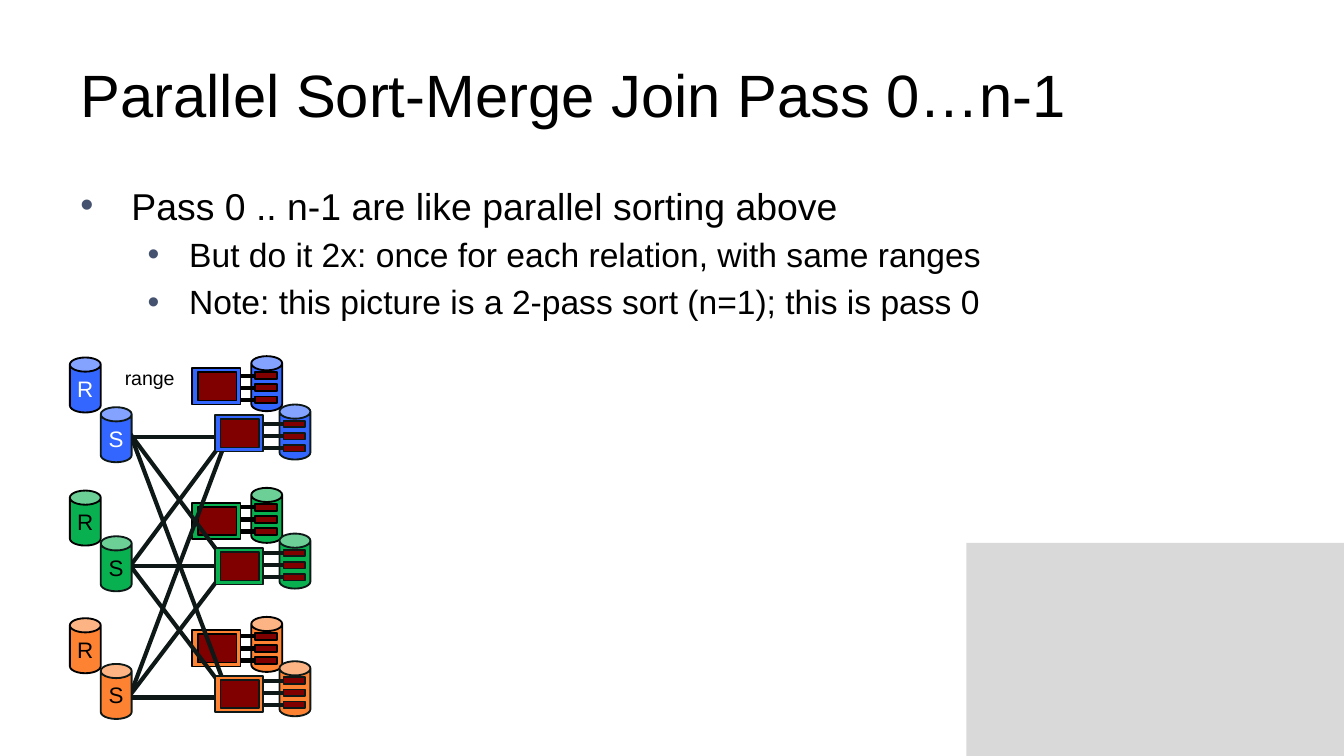
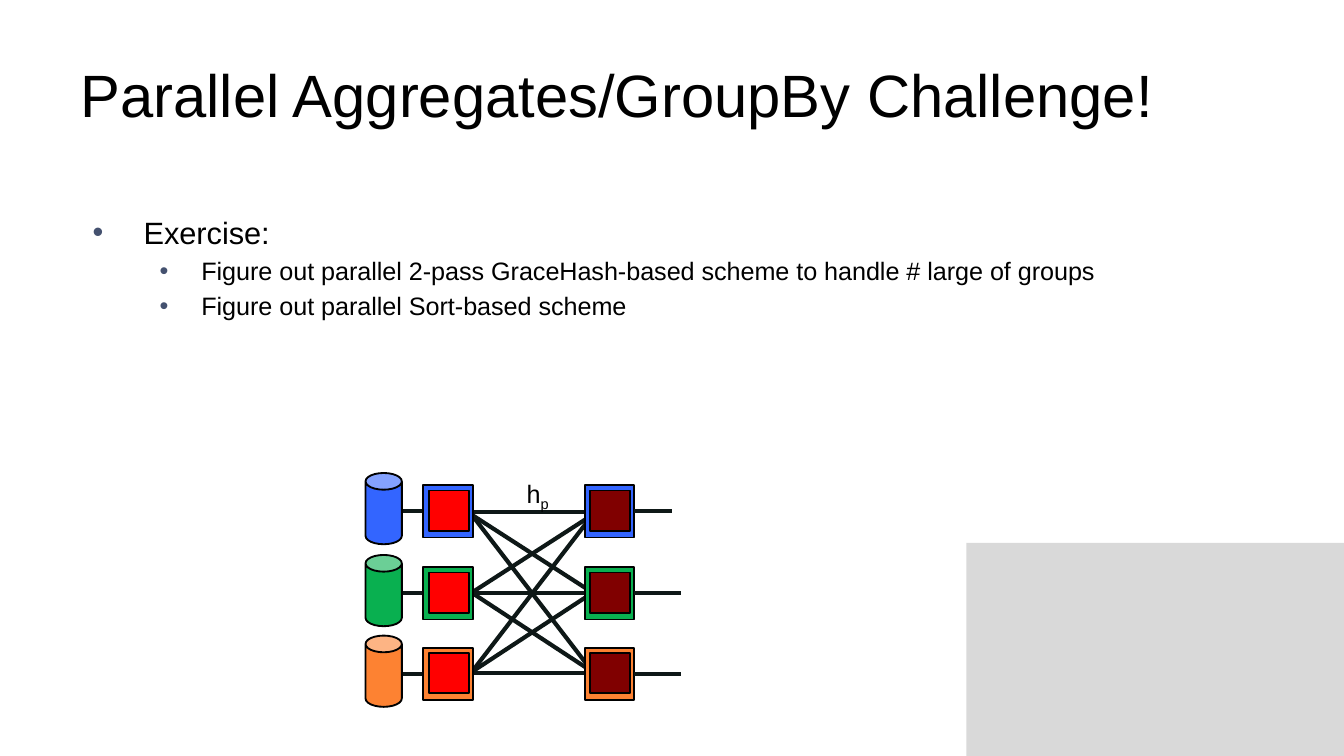
"""Build two slides on parallel sort-merge join and parallel aggregation."""
import itertools

import lxml.etree
import pptx
import pptx.dml.color
import pptx.enum.shapes
import pptx.enum.text
import pptx.oxml.ns
import pptx.util

Inches = pptx.util.Inches
Pt = pptx.util.Pt
RGBColor = pptx.dml.color.RGBColor
SHAPE = pptx.enum.shapes.MSO_SHAPE
ANCHOR = pptx.enum.text.MSO_ANCHOR
qn = pptx.oxml.ns.qn

BLACK = RGBColor(0x00, 0x00, 0x00)
WHITE = RGBColor(0xFF, 0xFF, 0xFF)
INK = RGBColor(0x0E, 0x18, 0x17)
GREY = RGBColor(0xD9, 0xD9, 0xD9)
BULLET = RGBColor(0x44, 0x51, 0x6F)
BLUE = RGBColor(0x33, 0x65, 0xFF)
GREEN = RGBColor(0x09, 0xB0, 0x50)
ORANGE = RGBColor(0xFD, 0x82, 0x32)
MAROON = RGBColor(0x80, 0x00, 0x00)
RED = RGBColor(0xFF, 0x00, 0x00)
MACHINES = (BLUE, GREEN, ORANGE)
FONT = "Arial"


def add_box(s, kind, x, y, w, h, fill, edge=BLACK):
    sp = s.shapes.add_shape(kind, Inches(x), Inches(y), Inches(w), Inches(h))
    sp.shadow.inherit = False
    sp.fill.solid()
    sp.fill.fore_color.rgb = fill
    if edge is None:
        sp.line.fill.background()
    else:
        sp.line.color.rgb = edge
        sp.line.width = Pt(1)
    if kind == SHAPE.CAN:
        sp.adjustments[0] = 0.46
    return sp


def add_line(s, x1, y1, x2, y2, color=INK):
    cn = s.shapes.add_connector(pptx.enum.shapes.MSO_CONNECTOR.STRAIGHT,
                                Inches(x1), Inches(y1), Inches(x2), Inches(y2))
    cn.line.color.rgb = color
    cn.line.width = Pt(2.25)
    lxml.etree.SubElement(cn._element.spPr, qn("a:effectLst"))
    return cn


prs = pptx.Presentation()
prs.slide_width = Inches(10)
prs.slide_height = Inches(10) * 9 // 16

PAGES = [
    ("Parallel Sort-Merge Join Pass 0…n-1", (0.5, 1.31, 9, 3.71), (20, 18),
     ["Pass 0 .. n-1 are like parallel sorting above",
      "But do it 2x: once for each relation, with same ranges",
      "Note: this picture is a 2-pass sort (n=1); this is pass 0"]),
    ("Parallel Aggregates/GroupBy Challenge!", (0.59, 1.54, 8.32, 3.34), (16.5, 13.5),
     ["Exercise:",
      "Figure out parallel 2-pass GraceHash-based scheme to handle # large of groups",
      "Figure out parallel Sort-based scheme"]),
]
slides = []
for title, body, sizes, lines in PAGES:
    s = prs.slides.add_slide(prs.slide_layouts[6])
    slides.append(s)
    add_box(s, SHAPE.RECTANGLE, 7.19, 4.04, 2.81, 1.59, GREY, None)
    tf = s.shapes.add_textbox(Inches(0.5), Inches(0.23), Inches(9), Inches(0.94)).text_frame
    tf.word_wrap = True
    tf.vertical_anchor = ANCHOR.MIDDLE
    r = tf.paragraphs[0].add_run()
    r.text = title
    r.font.name = FONT
    r.font.size = Pt(32)
    r.font.color.rgb = BLACK

    tf = s.shapes.add_textbox(*(Inches(v) for v in body)).text_frame
    tf.word_wrap = True
    for i, line in enumerate(lines):
        level = min(i, 1)
        p = tf.add_paragraph() if i else tf.paragraphs[0]
        p.level = level
        p.space_before = Pt(sizes[1] * 0.2 if i else 0)
        pPr = p._p.get_or_add_pPr()
        pPr.set("marL", str(Inches((0.38, 0.81)[level])))
        pPr.set("indent", str(-Inches((0.38, 0.31)[level])))
        clr = lxml.etree.SubElement(pPr, qn("a:buClr"))
        lxml.etree.SubElement(clr, qn("a:srgbClr")).set("val", str(BULLET))
        lxml.etree.SubElement(pPr, qn("a:buFont")).set("typeface", FONT)
        lxml.etree.SubElement(pPr, qn("a:buChar")).set("char", "•")
        r = p.add_run()
        r.text = line
        r.font.name = FONT
        r.font.size = Pt(sizes[level])
        r.font.color.rgb = BLACK

join, groupby = slides

RELATIONS = [
    ("R", BLACK, 0.52, 1.87, 1.43, (2.66, 3.65, 4.6), (2.65, 3.63, 4.59), (2.74, 3.74, 4.69)),
    ("S", INK, 0.75, 2.08, 1.6, (3.03, 3.99, 4.94), (3.01, 3.97, 4.92), (3.09, 4.08, 5.03)),
]
for name, edge, store_x, disk_x, cpu_x, store_ys, disk_ys, cpu_ys in RELATIONS:
    if name == "S":
        for i, j in itertools.product(range(3), repeat=2):
            if i == j:
                y = (3.25, 4.21, 5.19)[i]
                add_line(join, 0.91, y, 1.72, y)
            else:
                ys = (3.23, 4.21, 5.17)
                add_line(join, 0.97, ys[i], 1.7, ys[j])
    for color, store_y, disk_y in zip(MACHINES, store_ys, disk_ys):
        sp = add_box(join, SHAPE.CAN, store_x, store_y, 0.23, 0.41, color, edge)
        tf = sp.text_frame
        tf.word_wrap = False
        tf.vertical_anchor = ANCHOR.MIDDLE
        p = tf.paragraphs[0]
        p.alignment = pptx.enum.text.PP_ALIGN.CENTER
        r = p.add_run()
        r.text = name
        r.font.name = FONT
        r.font.size = Pt(12)
        r.font.color.rgb = WHITE if color == BLUE else BLACK
        add_box(join, SHAPE.CAN, disk_x, disk_y, 0.23, 0.41, color, edge)
        slots = [(add_box(join, SHAPE.RECTANGLE, disk_x + 0.03, y, 0.16, 0.05, MAROON, edge), y + 0.05 / 2)
                 for y in (disk_y + 0.12, disk_y + 0.21, disk_y + 0.3)]
        for sp, y in slots:
            add_line(join, disk_x - 0.12, y, disk_x + 0.03, y, edge).end_connect(sp, 1)
        y = slots[1][1]
        add_line(join, disk_x - 0.12, y, disk_x + 0.01, y, edge)
    for color, y in zip(MACHINES, cpu_ys):
        add_box(join, SHAPE.RECTANGLE, cpu_x, y, 0.36, 0.27, color, edge)
        add_box(join, SHAPE.RECTANGLE, cpu_x + 0.04, y + 0.03, 0.29, 0.21, MAROON, edge)

for i, j in itertools.product(range(3), repeat=2):
    if i == j:
        y = (3.81, 4.41, 5.01)[i]
        add_line(groupby, 3.5, y, 4.42, y)
    else:
        ys = (3.83, 4.41, 5)
        add_line(groupby, 3.51, ys[i], 4.41, ys[j])

for color, y, end in zip(MACHINES, (3.52, 4.13, 4.73), (5, 5.07, 5.07)):
    wire_y = y + 0.09 + 0.39 / 2
    add_line(groupby, 2.91, wire_y, 3.2, wire_y)
    add_box(groupby, SHAPE.CAN, 2.72, y, 0.27, 0.53, color)
    for x, core in ((3.15, RED), (4.35, MAROON)):
        node = add_box(groupby, SHAPE.RECTANGLE, x, y + 0.09, 0.37, 0.39, color)
        add_box(groupby, SHAPE.RECTANGLE, x + 0.04, y + 0.13, 0.3, 0.3, core)
    add_line(groupby, 4.72, wire_y, end, wire_y).begin_connect(node, 3)

LABELS = [
    (join, (0.83, 2.67, 0.58, 0.25), 10.5, ["range"]),
    (groupby, (3.82, 3.51, 0.38, 0.33), 13.5, ["h", "p"]),
]
for s, place, size, parts in LABELS:
    tf = s.shapes.add_textbox(*(Inches(v) for v in place)).text_frame
    tf.word_wrap = False
    tf.auto_size = pptx.enum.text.MSO_AUTO_SIZE.SHAPE_TO_FIT_TEXT
    for i, part in enumerate(parts):
        r = tf.paragraphs[0].add_run()
        r.text = part
        r.font.name = FONT
        r.font.size = Pt(size)
        r.font.color.rgb = BLACK
        if i:
            r._r.get_or_add_rPr().set("baseline", "-25000")

prs.save("out.pptx")
